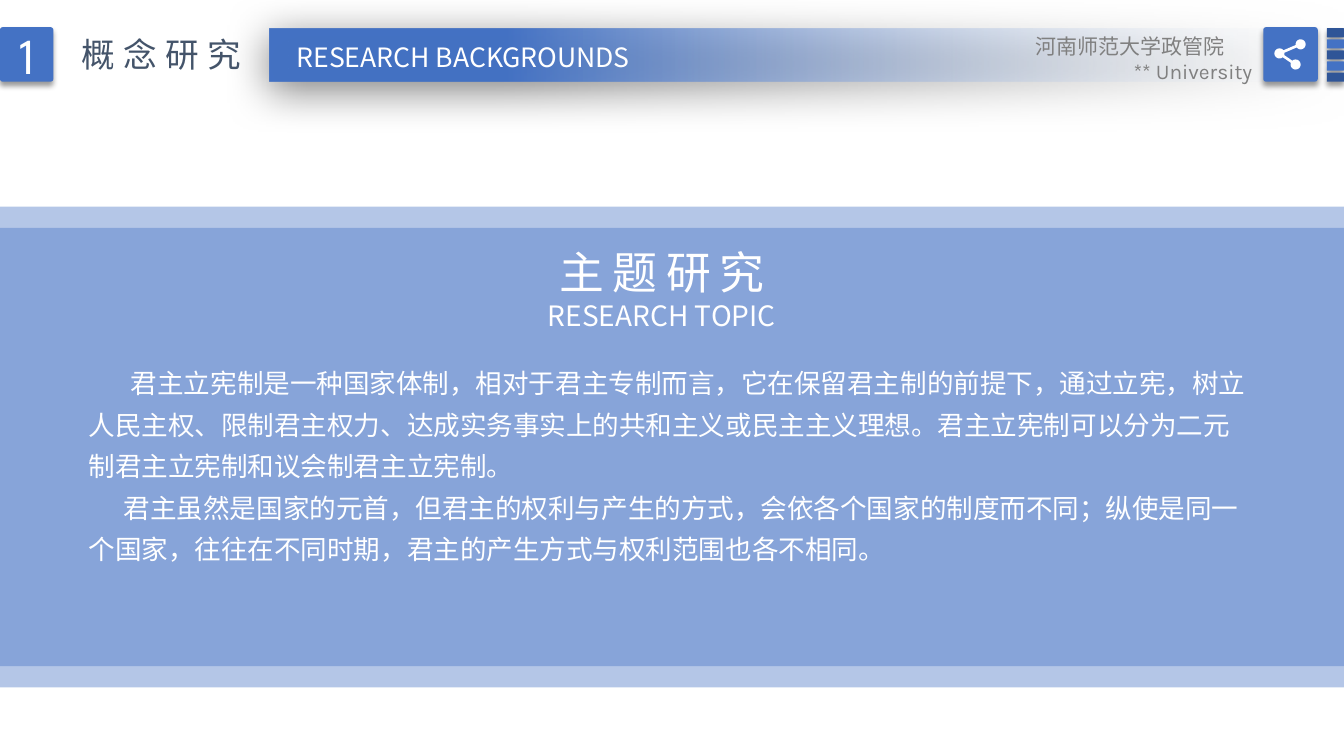
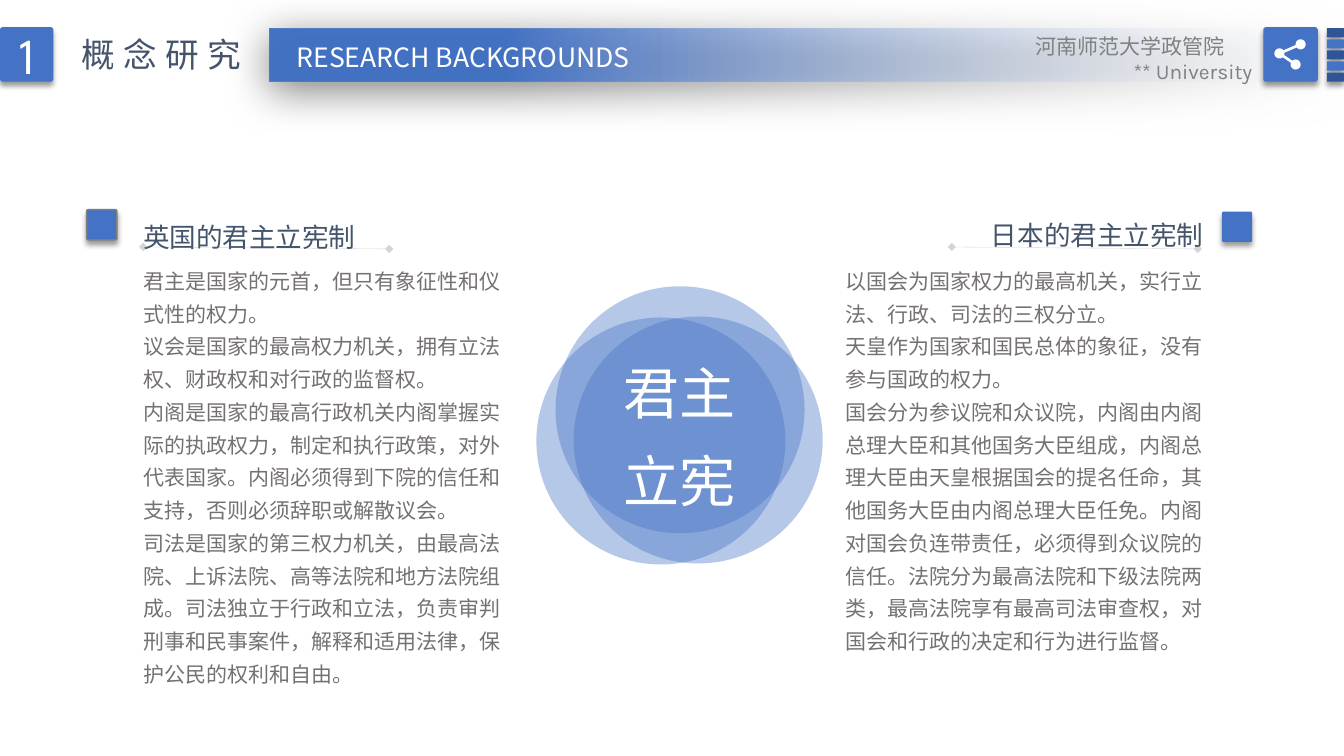
from math import atan2, cos, degrees, radians, sin

from lxml.etree import SubElement
from pptx import Presentation
from pptx.dml.color import RGBColor
from pptx.enum.shapes import MSO_CONNECTOR as Connector, MSO_SHAPE as Shape
from pptx.enum.text import MSO_ANCHOR as Anchor, PP_ALIGN as Align
from pptx.oxml.ns import qn
from pptx.util import Inches, Pt

COLORS = {
    "blue": "4472C4",
    "navy": "2F5597",
    "pale": "F7FAFD",
    "white": "FFFFFF",
    "black": "000000",
    "slate": "44546A",
    "gray": "808080",
    "outline": "7F7F7F",
    "body": "767171",
}
BODY_FONT = "Noto Sans CJK SC"
NUMBER_FONT = "League Spartan"
LATIN_FONT = "Karla"
SMALL_SHADOW = {"alpha": 40, "blur": 4, "distance": 3, "angle": 90}
BANNER_SHADOW = {"alpha": 50, "blur": 31, "distance": 6, "angle": 97}

TOPIC = [
    ("君主立宪制是一种国家体制，相对于君主专制而言，它在保留君主制的前提下，通过立宪，树立人民主权、限制君主权力、达成实务事实上的共和主义或民主主义理想。君主立宪制可以分为二元制君主立宪制和议会制君主立宪制。", {"indent": 0.42}),
    ("君主虽然是国家的元首，但君主的权利与产生的方式，会依各个国家的制度而不同；纵使是同一个国家，往往在不同时期，君主的产生方式与权利范围也各不相同。", {"indent": 0.35}),
]
BRITAIN = [
    "君主是国家的元首，但只有象征性和仪式性的权力。",
    "议会是国家的最高权力机关，拥有立法权、财政权和对行政的监督权。",
    "内阁是国家的最高行政机关内阁掌握实际的执政权力，制定和执行政策，对外代表国家。内阁必须得到下院的信任和支持，否则必须辞职或解散议会。",
    "司法是国家的第三权力机关，由最高法院、上诉法院、高等法院和地方法院组成。司法独立于行政和立法，负责审判刑事和民事案件，解释和适用法律，保护公民的权利和自由。",
]
JAPAN = [
    "以国会为国家权力的最高机关，实行立法、行政、司法的三权分立。",
    "天皇作为国家和国民总体的象征，没有参与国政的权力。",
    "国会分为参议院和众议院，内阁由内阁总理大臣和其他国务大臣组成，内阁总理大臣由天皇根据国会的提名任命，其他国务大臣由内阁总理大臣任免。内阁对国会负连带责任，必须得到众议院的信任。法院分为最高法院和下级法院两类，最高法院享有最高司法审查权，对国会和行政的决定和行为进行监督。",
]


def rgb(name):
    return RGBColor.from_string(COLORS[name])


def inches(*lengths):
    return [Inches(length) for length in lengths]


def set_alpha(element, percent):
    color = element.find(".//" + qn("a:srgbClr"))
    SubElement(color, qn("a:alpha"), val=str(percent * 1000))


def add_shadow(shape, alpha, blur, distance, angle):
    effects = shape._element.spPr.find(qn("a:effectLst"))
    shadow = SubElement(effects, qn("a:outerShdw"), blurRad=str(Pt(blur)),
                        dist=str(Pt(distance)), dir=str(angle * 60000),
                        algn="ctr", rotWithShape="0")
    SubElement(shadow, qn("a:srgbClr"), val=COLORS["black"])
    set_alpha(shadow, alpha)


def add_block(slide, kind, box, color="blue", alpha=None, shadow=None):
    shape = slide.shapes.add_shape(kind, *inches(*box))
    shape.shadow.inherit = False
    shape.fill.solid()
    shape.fill.fore_color.rgb = rgb(color)
    shape.line.fill.background()
    if kind == Shape.ROUNDED_RECTANGLE:
        shape.adjustments[0] = 0.05
    if alpha is not None:
        set_alpha(shape._element.spPr, alpha)
    if shadow:
        add_shadow(shape, **shadow)
    return shape


def write_paragraph(paragraph, text, size, color, font=BODY_FONT,
                    align=Align.LEFT, spacing=None, letter_gap=0, indent=0):
    paragraph.text = text
    paragraph.alignment = align
    if spacing:
        paragraph.line_spacing = spacing
    paragraph.font.size = Pt(size)
    paragraph.font.name = font
    paragraph.font.color.rgb = rgb(color)
    properties = paragraph._p.get_or_add_pPr()
    if indent:
        properties.set("indent", str(Inches(indent)))
    defaults = properties.find(qn("a:defRPr"))
    SubElement(defaults, qn("a:ea"), typeface=font)
    if letter_gap:
        defaults.set("spc", str(letter_gap * 100))


def add_text(slide, box, lines, wrap=True, **style):
    frame = slide.shapes.add_textbox(*inches(*box)).text_frame
    frame.word_wrap = wrap
    for index, line in enumerate(lines):
        text, own_style = (line, {}) if isinstance(line, str) else line
        paragraph = frame.add_paragraph() if index else frame.paragraphs[0]
        write_paragraph(paragraph, text, **{**style, **own_style})


def add_rule(slide, left, top, right, bottom):
    rule = slide.shapes.add_connector(
        Connector.STRAIGHT, *inches(left, top, right, bottom))
    rule.line.color.rgb = rgb("gray")
    rule.line.width = Pt(0.25)
    properties = rule._element.spPr
    set_alpha(properties, 33)
    for end in ("a:headEnd", "a:tailEnd"):
        SubElement(rule.line._get_or_add_ln(), qn(end), type="diamond")
    SubElement(properties, qn("a:effectLst"))


def arc(center, start, end, radius=0.05, steps=16):
    angles = [radians(start + (end - start) * step / steps)
              for step in range(steps + 1)]
    return [inches(center[0] + radius * cos(angle),
                   center[1] + radius * sin(angle)) for angle in angles]


def add_share_icon(slide):
    hub, upper, lower = (12.69, 0.53), (12.9, 0.44), (12.85, 0.64)
    to_upper, to_lower = (
        degrees(atan2(node[1] - hub[1], node[0] - hub[0]))
        for node in (upper, lower))
    gap = 15
    outline = (arc(upper, to_upper + 180 + gap, to_upper + 540 - gap)
               + arc(hub, to_upper + gap, to_lower - gap)
               + arc(lower, to_lower + 180 + gap, to_lower + 540 - gap)
               + arc(hub, to_lower + gap, to_upper + 360 - gap))
    builder = slide.shapes.build_freeform(*outline[0])
    builder.add_line_segments(outline[1:], close=True)
    icon = builder.convert_to_shape()
    icon.shadow.inherit = False
    icon.fill.solid()
    icon.fill.fore_color.rgb = rgb("white")
    icon.line.fill.background()


def add_banner(slide):
    banner = add_block(slide, Shape.RECTANGLE, (2.67, 0.28, 10.66, 0.53))
    banner.fill.gradient()
    banner.fill.gradient_angle = 180
    stops = banner.fill.gradient_stops
    for stop, color, position in zip(stops, ("pale", "blue"), (0, 0.78)):
        stop.color.rgb = rgb(color)
        stop.position = position
    set_alpha(banner._element.spPr, 0)
    add_shadow(banner, **BANNER_SHADOW)


def add_header(slide):
    add_banner(slide)
    number = add_block(slide, Shape.ROUNDED_RECTANGLE, (0, 0.27, 0.53, 0.54),
                       shadow=SMALL_SHADOW)
    number.text_frame.vertical_anchor = Anchor.MIDDLE
    write_paragraph(number.text_frame.paragraphs[0], "1", 36, "white",
                    font=NUMBER_FONT, align=Align.CENTER)
    add_text(slide, (0.71, 0.29, 1.87, 0.5), ["概念研究"], wrap=False,
             size=24, color="slate", letter_gap=6)
    add_text(slide, (2.75, 0.36, 3.69, 0.42), ["RESEARCH BACKGROUNDS"],
             wrap=False, size=19, color="white", align=Align.CENTER)
    for index in range(5):
        add_block(slide, Shape.ROUNDED_RECTANGLE,
                  (13.16, 0.28 + 0.11 * index, 0.17, 0.09),
                  "blue" if index % 2 else "navy", shadow=SMALL_SHADOW)
    add_block(slide, Shape.ROUNDED_RECTANGLE, (12.53, 0.27, 0.54, 0.54),
              shadow=SMALL_SHADOW)
    add_share_icon(slide)
    add_text(slide, (9.87, 0.28, 2.37, 0.35), ["河南师范大学政管院"],
             size=15, color="gray", align=Align.RIGHT)
    add_text(slide, (10.15, 0.53, 2.37, 0.35), ["** University"],
             size=15, color="gray", font=LATIN_FONT, align=Align.RIGHT)


def add_topic(slide):
    for top in (2.26, 2.05):
        add_block(slide, Shape.RECTANGLE, (0, top, 13.33, 4.56), alpha=40)
    add_text(slide, (1.73, 2.38, 9.67, 0.98),
             [("主题研究", {"size": 32, "letter_gap": 6}),
              ("RESEARCH TOPIC", {"size": 20})],
             color="white", align=Align.CENTER)
    add_text(slide, (0.78, 3.5, 11.78, 2.17), TOPIC,
             size=19, color="white", spacing=1.3)


def add_circles(slide):
    for left, top in ((5.32, 3.15), (5.51, 2.84), (5.69, 3.14)):
        add_block(slide, Shape.OVAL, (left, top, 2.47, 2.45), alpha=39)
    add_text(slide, (5.9, 3.31, 1.67, 1.85), ["君主立宪"], size=40,
             color="white", align=Align.CENTER, spacing=1.3)


def add_country(slide, heading, lines, marker, heading_at, rule_left, body_left):
    square = add_block(slide, Shape.ROUNDED_RECTANGLE, (*marker, 0.3, 0.3),
                       shadow=SMALL_SHADOW)
    add_text(slide, (*heading_at, 2.39, 0.51), [heading], wrap=False,
             size=19, color="slate", spacing=1.3)
    add_rule(slide, rule_left, 2.45, rule_left + 2.44, 2.47)
    add_text(slide, (body_left, 2.54, 3.86, 4.36), lines,
             size=15, color="body", spacing=1.3)
    return square


def add_comparison(slide):
    add_circles(slide)
    britain_marker = add_country(slide, "英国的君主立宪制", BRITAIN,
                                 (0.86, 2.08), (1.32, 2.05), 1.42, 1.33)
    britain_marker.line.color.rgb = rgb("outline")
    britain_marker.line.width = Pt(1)
    add_country(slide, "日本的君主立宪制", JAPAN,
                (12.12, 2.1), (9.73, 2.03), 9.44, 8.29)


def main():
    presentation = Presentation()
    presentation.slide_width, presentation.slide_height = inches(13.33, 7.5)
    for add_content in (add_topic, add_comparison):
        slide = presentation.slides.add_slide(presentation.slide_layouts[6])
        add_header(slide)
        add_content(slide)
    presentation.save("out.pptx")


if __name__ == "__main__":
    main()
